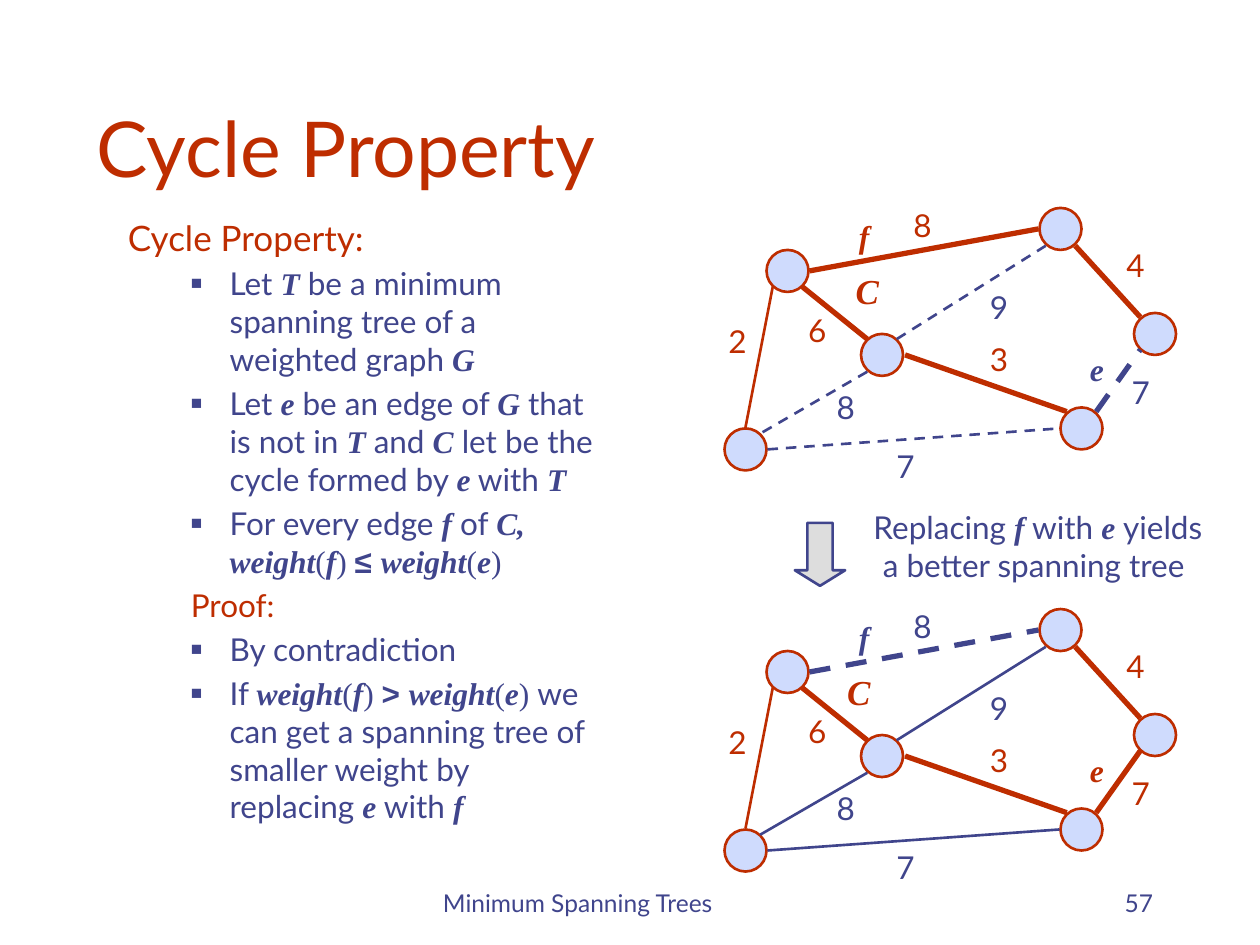
from lxml.etree import SubElement
from pptx import Presentation
from pptx.dml.color import RGBColor
from pptx.enum.dml import MSO_LINE
from pptx.enum.shapes import MSO_CONNECTOR, MSO_SHAPE
from pptx.enum.text import MSO_ANCHOR, PP_ALIGN
from pptx.oxml.ns import qn
from pptx.util import Pt

PX = 7620  # EMU per px, 120 px to the inch
RED, BLUE = "BE2D00", "40458C"
# Marks that open a run: font, bold, italic
STYLES = {"*": ("Times New Roman", True, True),
          "~": ("Times New Roman", False, False),
          "^": ("Arial", True, False)}


def rgb(code):
    return RGBColor.from_string(code)


def write(para, text, size, color, align=PP_ALIGN.LEFT):
    """Fill a paragraph; bars part the runs, a mark in front sets the style."""
    para.alignment = align
    for part in text.split("|"):
        if part == "\n":
            para.add_line_break()
            continue
        run = para.add_run()
        run.text = part[1:] if part[0] in STYLES else part
        font = run.font
        font.name, font.bold, font.italic = STYLES.get(part[0], ("Lato", False, False))
        font.size, font.color.rgb = Pt(size), rgb(color)


prs = Presentation()
prs.slide_width, prs.slide_height = 1200 * PX, 900 * PX
slide = prs.slides.add_slide(prs.slide_layouts[5])
shapes = slide.shapes

# Title
title = shapes.title
title.left, title.top, title.width, title.height = 80 * PX, 40 * PX, 1020 * PX, 150 * PX
title.text_frame.vertical_anchor = MSO_ANCHOR.BOTTOM
write(title.text_frame.paragraphs[0], "Cycle Property", 44, RED)

# Footer and page number
for text, x, w, align in [("Minimum Spanning Trees", 410, 380, PP_ALIGN.LEFT),
                          ("57", 860, 250, PP_ALIGN.RIGHT)]:
    frame = shapes.add_textbox(x * PX, 820 * PX, w * PX, 60 * PX).text_frame
    frame.word_wrap = True
    frame.vertical_anchor = MSO_ANCHOR.BOTTOM
    write(frame.paragraphs[0], text, 14, BLUE, align)

# Body: text, size, colour, left margin, hanging indent, bullet
head = (20, RED, 45, 45, False)
item = (18, BLUE, 97, 37, True)
plain = (18, RED, 97, 37, False)
body = [
    ("Cycle Property:", head),
    ("Let |*T| be a minimum spanning tree of a weighted graph |*G", item),
    ("Let |*e| be an edge of |*G| that is not in |*T |and |*C| let be the "
     "cycle formed by |*e| with |*T", item),
    ("For every edge |*f| of |*C, weight|~(|*f|~) |^≤ |*weight|~(|*e|~)", item),
    ("Proof:", plain),
    ("By contradiction", item),
    ("If |*weight|~(|*f|~) |^> |*weight|~(|*e|~) |we can get a spanning tree of "
     "smaller weight by replacing |*e| with |*f", item),
]
frame = shapes.add_textbox(110 * PX, 200 * PX, 470 * PX, 650 * PX).text_frame
frame.word_wrap = True
for i, (text, (size, color, margin, hang, bullet)) in enumerate(body):
    para = frame.add_paragraph() if i else frame.paragraphs[0]
    write(para, text, size, color)
    para.space_before = Pt(size / 5)
    props = para._p.get_or_add_pPr()
    props.set("marL", str(margin * PX))
    props.set("indent", str(-hang * PX))
    if bullet:
        para.level = 1
        tint = SubElement(props, qn("a:buClr"))
        SubElement(tint, qn("a:srgbClr"), val=BLUE)
        SubElement(props, qn("a:buSzPct"), val="60000")
        SubElement(props, qn("a:buFont"), typeface="Arial")
        SubElement(props, qn("a:buChar"), char="■")

# Graph data, placed for the upper graph
nodes = [(730, 238), (990, 198), (820, 318), (690, 408), (1080, 298), (1010, 388)]
bold, thin = (RED, 3, False), (RED, 1.5, False)
dash, cut, solid = (BLUE, 1.5, True), (BLUE, 3, True), (BLUE, 1.5, False)
# Ends, then the line style in the upper and the lower graph
edges = [
    (764, 273, 826, 323, bold, bold),
    (826, 354, 724, 413, dash, solid),
    (736, 273, 710, 407, thin, thin),
    (862, 338, 1016, 392, bold, bold),
    (731, 428, 1009, 408, dash, solid),
    (771, 258, 989, 218, bold, cut),
    (854, 323, 996, 234, dash, solid),
    (1086, 302, 1024, 234, bold, bold),
    (1044, 392, 1086, 333, cut, bold),
]
# Text, left, top, width, size, then the colours in the two graphs
labels = [
    ("8", 858, 190, 41, 18, RED, BLUE),
    ("4", 1061, 228, 41, 18, RED, RED),
    ("2", 682, 301, 41, 18, RED, RED),
    ("3", 931, 318, 41, 18, RED, RED),
    ("6", 758, 290, 41, 18, RED, RED),
    ("7", 842, 420, 41, 18, BLUE, BLUE),
    ("7", 1066, 349, 41, 18, BLUE, RED),
    ("9", 931, 268, 41, 18, BLUE, BLUE),
    ("8", 785, 364, 41, 18, BLUE, BLUE),
    ("*e", 1026, 327, 37, 18, BLUE, RED),
    ("*C", 798, 251, 56, 20, RED, RED),
    ("*f", 803, 201, 40, 18, RED, BLUE),
]

# Both graphs: the lower one repeats the upper with other edge styles
for turn, drop in enumerate((0, 382)):
    group = shapes.add_group_shape().shapes
    for x, y in nodes:
        node = group.add_shape(MSO_SHAPE.OVAL, x * PX, (y + drop) * PX, 40 * PX, 40 * PX)
        node.shadow.inherit = False
        node.fill.solid()
        node.fill.fore_color.rgb = rgb("CFDBFD")
        node.line.color.rgb, node.line.width = rgb(RED), Pt(1.5)
    for x1, y1, x2, y2, *looks in edges:
        color, width, dashed = looks[turn]
        edge = group.add_connector(MSO_CONNECTOR.STRAIGHT, x1 * PX, (y1 + drop) * PX,
                                   x2 * PX, (y2 + drop) * PX)
        edge.line.color.rgb, edge.line.width = rgb(color), Pt(width)
        if dashed:
            edge.line.dash_style = MSO_LINE.DASH
        SubElement(edge._element.spPr, qn("a:effectLst"))
    for text, x, y, w, size, *tints in labels:
        if text == "*C":
            x -= 8 * turn
        box = group.add_textbox(x * PX, (y + drop) * PX, w * PX, 48 * PX)
        box.text_frame.word_wrap = False
        write(box.text_frame.paragraphs[0], text, size, tints[turn], PP_ALIGN.CENTER)

# Arrow and caption between the graphs
arrow = shapes.add_shape(MSO_SHAPE.DOWN_ARROW, 757 * PX, 498 * PX, 48 * PX, 60 * PX)
arrow.adjustments[0], arrow.adjustments[1] = 0.5, 0.31
arrow.shadow.inherit = False
arrow.fill.solid()
arrow.fill.fore_color.rgb = rgb("DDDDDD")
arrow.line.color.rgb, arrow.line.width = rgb(BLUE), Pt(1.5)

frame = shapes.add_textbox(818 * PX, 478 * PX, 341 * PX, 84 * PX).text_frame
frame.word_wrap = False
write(frame.paragraphs[0], "Replacing |*f| with |*e |yields|\n|a better spanning tree ",
      18, BLUE, PP_ALIGN.CENTER)

prs.save("out.pptx")
